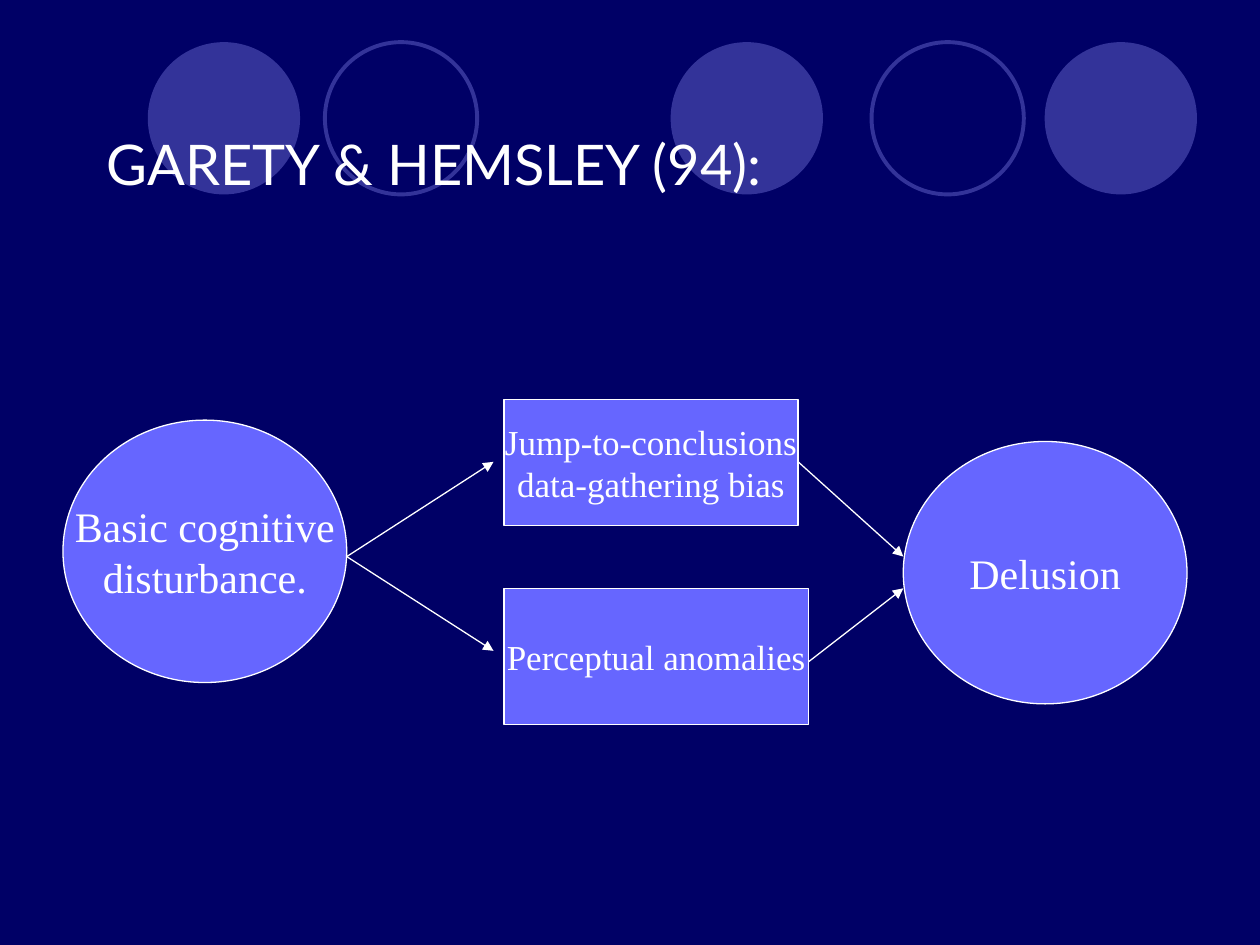
"""Build the slide on the Garety and Hemsley model of delusion."""
import lxml.etree
import pptx
import pptx.dml.color
import pptx.enum.shapes
import pptx.enum.text
import pptx.oxml.ns
import pptx.util

Cm = pptx.util.Cm
Pt = pptx.util.Pt
qn = pptx.oxml.ns.qn
RGBColor = pptx.dml.color.RGBColor
OVAL = pptx.enum.shapes.MSO_SHAPE.OVAL
RECTANGLE = pptx.enum.shapes.MSO_SHAPE.RECTANGLE
STRAIGHT = pptx.enum.shapes.MSO_CONNECTOR.STRAIGHT
PP_ALIGN = pptx.enum.text.PP_ALIGN

COLORS = {"background": "000066", "circle": "333399", "node": "6666FF", "white": "FFFFFF"}
THIN_LINE, CIRCLE_LINE = 0.75, 2.25


def add_plain_shape(kind, left, top, width, height, fill=None, line=None, line_width=THIN_LINE):
    shape = slide.shapes.add_shape(kind, Cm(left), Cm(top), Cm(width), Cm(height))
    shape.shadow.inherit = False
    for paint, color in ((shape.fill, fill), (shape.line.fill, line)):
        if color:
            paint.solid()
            paint.fore_color.rgb = RGBColor.from_string(COLORS[color])
        else:
            paint.background()
    if line:
        shape.line.width = Pt(line_width)
    return shape


def write_lines(text_frame, lines, font_name, font_size, alignment):
    text_frame.auto_size = pptx.enum.text.MSO_AUTO_SIZE.NONE
    text_frame.vertical_anchor = pptx.enum.text.MSO_ANCHOR.MIDDLE
    for index, line in enumerate(lines):
        paragraph = text_frame.add_paragraph() if index else text_frame.paragraphs[0]
        paragraph.alignment = alignment
        run = paragraph.add_run()
        run.text = line
        run.font.name = font_name
        run.font.size = Pt(font_size)
        run.font.color.rgb = RGBColor.from_string(COLORS["white"])


presentation = pptx.Presentation()
presentation.slide_width, presentation.slide_height = Cm(25.4), Cm(19.05)
title_only_layout = presentation.slide_layouts[5]
slide = presentation.slides.add_slide(title_only_layout)
slide.background.fill.solid()
slide.background.fill.fore_color.rgb = RGBColor.from_string(COLORS["background"])

circle_top, circle_size = 0.85, 3.07
solid_circle = {"fill": "circle"}
ring = {"line": "circle", "line_width": CIRCLE_LINE}
for left, style in (
    (2.98, solid_circle), (6.55, ring), (13.52, solid_circle), (17.57, ring), (21.06, solid_circle),
):
    add_plain_shape(OVAL, left, circle_top, circle_size, circle_size, **style)

title = slide.shapes.title
title.left, title.top, title.width, title.height = Cm(1.9), Cm(1.7), Cm(21.6), Cm(3.18)
write_lines(title.text_frame, ["GARETY & HEMSLEY (94):"], "Lato", 32, PP_ALIGN.LEFT)
slide.shapes._spTree.append(title._element)

cause_left, factor_left, outcome_left = 1.27, 10.16, 18.21
oval_width, oval_height = 5.72, 5.29
bias_width, anomaly_width = 593 / 1000, 6.14
bias_width = 5.93
nodes = (
    (OVAL, cause_left, 8.47, oval_width, oval_height, 24, ["Basic cognitive", "disturbance."]),
    (RECTANGLE, factor_left, 8.05, bias_width, 2.54, 20,
     ["Jump-to-conclusions", "data-gathering bias"]),
    (RECTANGLE, factor_left, 11.86, anomaly_width, 2.75, 20, ["Perceptual anomalies"]),
    (OVAL, outcome_left, 8.9, oval_width, oval_height, 24, ["Delusion"]),
)
for kind, left, top, width, height, font_size, lines in nodes:
    node = add_plain_shape(kind, left, top, width, height, fill="node", line="white")
    node.text_frame.word_wrap = False
    write_lines(node.text_frame, lines, "Times New Roman", font_size, PP_ALIGN.CENTER)

cause_exit = (cause_left + oval_width, 11.22)
arrow_gap = 0.21
arrows = (
    (cause_exit, (factor_left - arrow_gap, 9.31)),
    (cause_exit, (factor_left - arrow_gap, 13.12)),
    ((factor_left + bias_width, 9.31), (outcome_left, 11.22)),
    ((factor_left + anomaly_width, 13.34), (outcome_left, 11.86)),
)
for start, end in arrows:
    arrow = slide.shapes.add_connector(STRAIGHT, *[Cm(length) for length in start + end])
    arrow.line.color.rgb = RGBColor.from_string(COLORS["white"])
    arrow.line.width = Pt(THIN_LINE)
    shape_properties = arrow._element.spPr
    line_properties = shape_properties.find(qn("a:ln"))
    lxml.etree.SubElement(line_properties, qn("a:tailEnd"), type="triangle")
    lxml.etree.SubElement(shape_properties, qn("a:effectLst"))

presentation.save("out.pptx")
